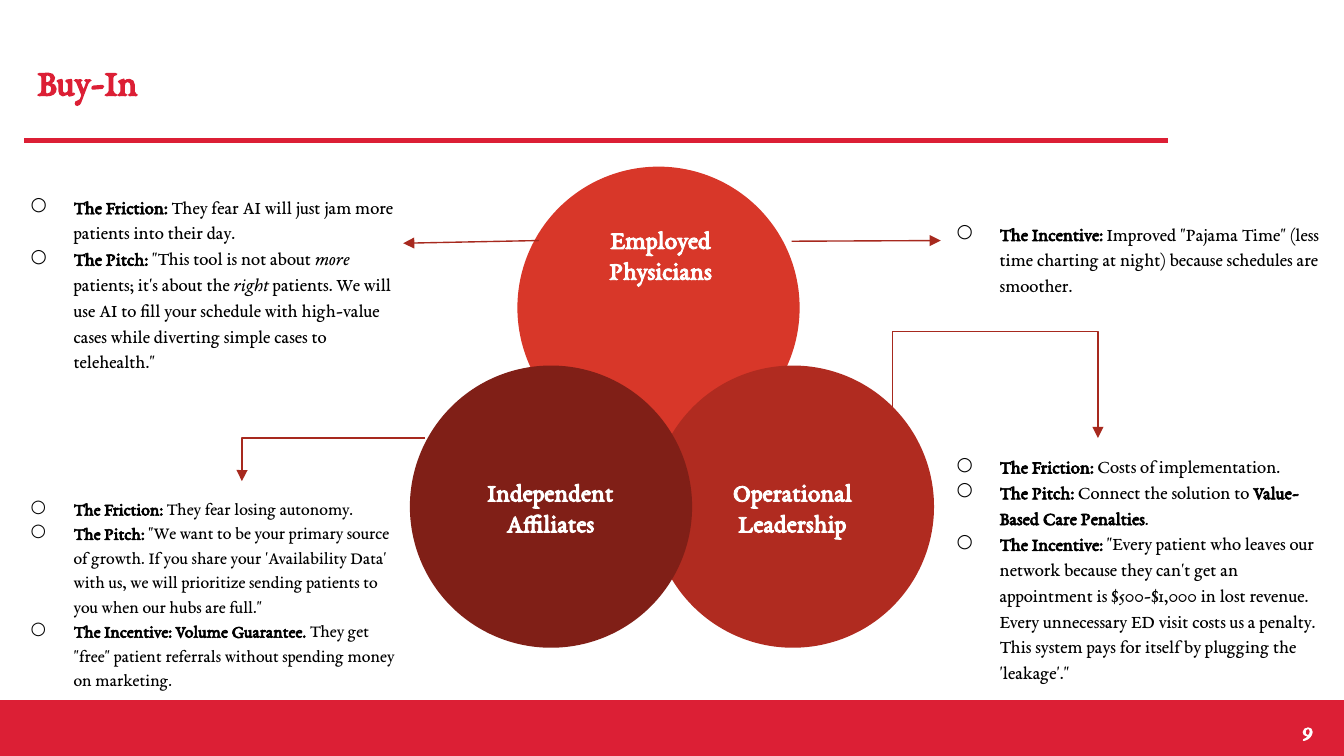
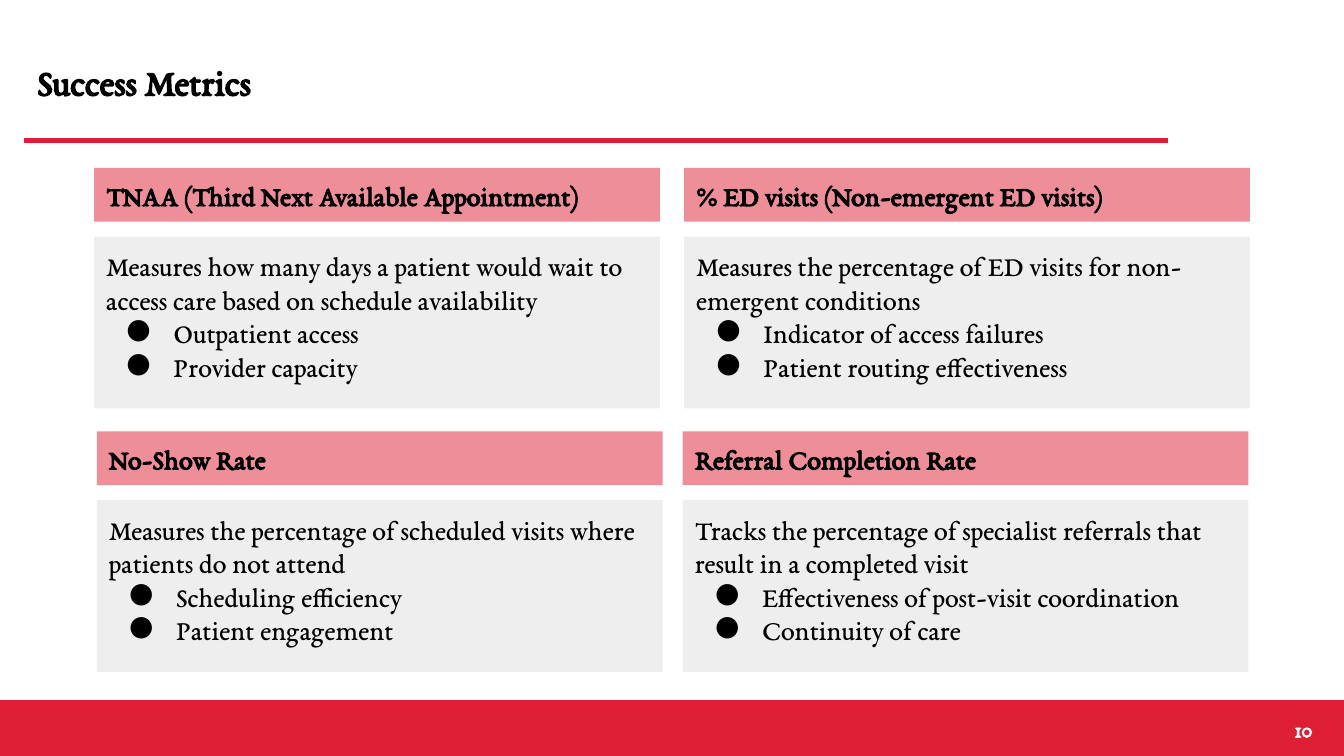
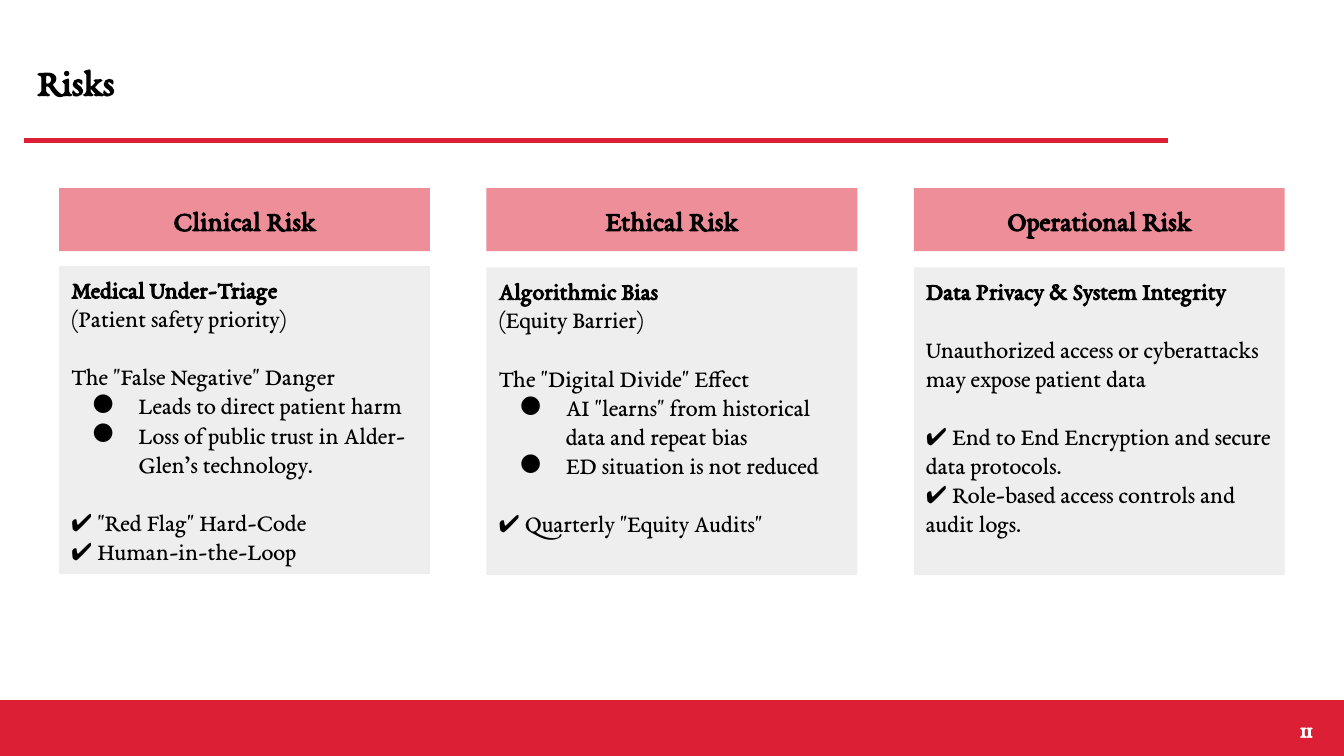
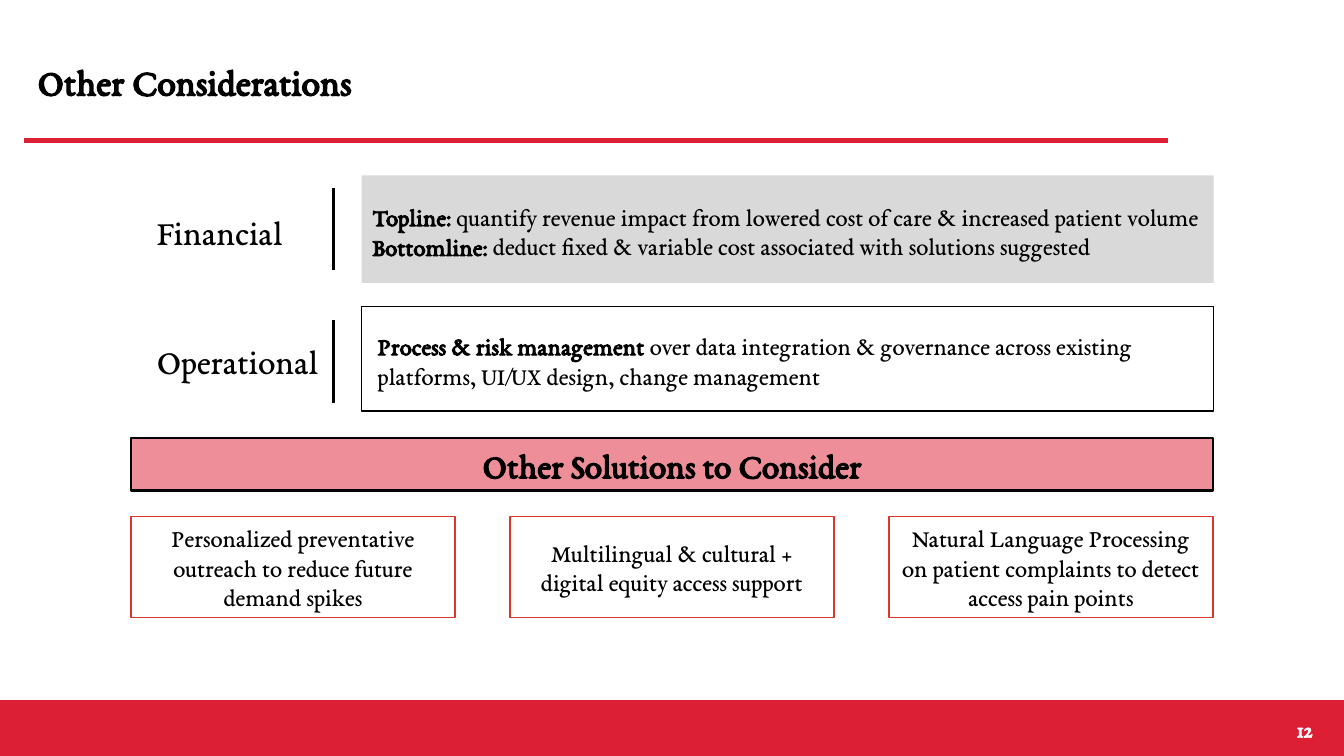
from dataclasses import dataclass

from lxml.etree import SubElement as Sub
from pptx import Presentation
from pptx.dml.color import RGBColor as RGB
from pptx.enum.shapes import MSO_CONNECTOR as CXN, MSO_SHAPE as SHAPE
from pptx.enum.text import MSO_ANCHOR as ANCHOR, PP_ALIGN as ALIGN
from pptx.oxml.ns import qn
from pptx.util import Inches, Pt


@dataclass(frozen=True)
class Theme:
    font: str = "EB Garamond"
    red: str = "DC1F35"
    bright: str = "D83729"
    brick: str = "B02B20"
    maroon: str = "801F17"
    arrow: str = "A7291E"
    black: str = "000000"
    white: str = "FFFFFF"
    panel: str = "EEEEEE"
    grey: str = "D9D9D9"
    title: float = 20.1
    label: float = 18.7
    head: float = 15
    circle: float = 13.8
    body: float = 13.3
    risk: float = 13
    number: float = 12
    note: float = 10
    small: float = 9.5


T = Theme()
prs = Presentation()
prs.slide_width = Inches(10)
prs.slide_height = prs.slide_width * 9 // 16
G = prs.slide_width // 100  # square grid: 100 columns across, 56.25 rows down


def box(shapes, at, text=(), size=T.body, color=T.black, kind=None, fill=None, alpha=None,
        line=None, weight=0.75, align=ALIGN.LEFT, anchor=ANCHOR.MIDDLE, inset=(0.9, 0.9),
        bullet=(5, 3.5), spacing=None, level=0):
    """Text marks: *bold*, _italic_, leading ● or ○ for a bullet, leading ^ for a gap of one line."""
    at = [int(v * G) for v in at]
    if kind is None:
        sp = shapes.add_textbox(*at)
    else:
        sp = shapes.add_shape(kind, *at)
        sp.shadow.inherit = False
        if fill:
            sp.fill.solid()
            sp.fill.fore_color.rgb = RGB.from_string(fill)
        else:
            sp.fill.background()
        if alpha:
            clr = sp._element.spPr.find(qn("a:solidFill"))[0]
            Sub(clr, qn("a:alpha")).set("val", str(alpha * 1000))
        if line:
            sp.line.color.rgb = RGB.from_string(line)
            sp.line.width = Pt(weight)
        else:
            sp.line.fill.background()
    tf = sp.text_frame
    dx, dy = (int(v * G) for v in inset)
    frame = dict(word_wrap=True, vertical_anchor=anchor, margin_left=dx, margin_right=dx,
                 margin_top=dy, margin_bottom=dy)
    for name, value in frame.items():
        setattr(tf, name, value)
    for i, para in enumerate(text):
        p = tf.add_paragraph() if i else tf.paragraphs[0]
        p.alignment = align
        if para[0] in "●○":
            pPr = p._p.get_or_add_pPr()
            pPr.set("marL", str(int(bullet[0] * G)))
            pPr.set("indent", str(int(-bullet[1] * G)))
            Sub(Sub(pPr, qn("a:buClr")), qn("a:srgbClr")).set("val", T.black)
            Sub(pPr, qn("a:buFont")).set("typeface", T.font)
            Sub(pPr, qn("a:buChar")).set("char", para[0])
            p.level = level
        if para[0] == "^":
            p.space_before = Pt(size * 1.2)
        if spacing:
            p.line_spacing = spacing
        for b, strong in enumerate(para.lstrip("●○^").split("*")):
            for k, words in enumerate(strong.split("_")):
                if words:
                    r = p.add_run()
                    r.text = words
                    look = dict(name=T.font, size=Pt(size), bold=b % 2 == 1, italic=k % 2 == 1)
                    for name, value in look.items():
                        setattr(r.font, name, value)
                    r.font.color.rgb = RGB.from_string(color)
    return sp


def link(s, ends, color, weight, arrow=False, bend=None, turn=0):
    cx = s.shapes.add_connector(CXN.STRAIGHT if bend is None else CXN.ELBOW,
                                *[int(v * G) for v in ends])
    cx.line.color.rgb = RGB.from_string(color)
    cx.line.width = Pt(weight)
    spPr = cx._element.spPr
    if arrow:
        Sub(cx.line._get_or_add_ln(), qn("a:tailEnd")).set("type", "triangle")
    if bend is not None:
        gd = Sub(spPr.find(qn("a:prstGeom")).find(qn("a:avLst")), qn("a:gd"))
        gd.set("name", "adj1")
        gd.set("fmla", f"val {bend}")
    if turn:
        spPr.find(qn("a:xfrm")).set("rot", str(turn * 60000))
    Sub(spPr, qn("a:effectLst"))


# Shared frame: title, rule, footer band, page number
slides = []
titles = [("Buy-In", T.red), ("Success Metrics", T.black), ("Risks", T.black),
          ("Other Considerations", T.black)]
for page, (title, color) in enumerate(titles, start=9):
    s = prs.slides.add_slide(prs.slide_layouts[6])
    box(s.shapes, (1.8, 1.6, 82.3, 8.8), [f"*{title}*"], T.title, color, inset=(1, 1))
    link(s, (1.8, 10.45, 86.9, 10.45), T.red, 2.25)
    box(s.shapes, (0, 52.12, 100, 4.13), kind=SHAPE.RECTANGLE, fill=T.red, line=T.red)
    box(s.shapes, (92.65, 52.2, 6, 4), [f"*{page}*"], T.number, T.white, align=ALIGN.RIGHT,
        inset=(1, 1))
    slides.append(s)
buy_in, metrics, risks, other = slides

# Buy-In: three overlapping circles, each grouped with its label
circles = [("Employed Physicians", 38.5, 12.4, T.bright, 3.4, 3.1),
           ("Operational Leadership", 48.5, 27.2, T.brick, 3.2, 7.1),
           ("Independent Affiliates", 30.5, 27.2, T.maroon, 3.2, 7.1)]
for name, x, y, fill, dx, dy in circles:
    group = buy_in.shapes.add_group_shape().shapes
    box(group, (x, y, 21, 21), kind=SHAPE.OVAL, fill=fill)
    box(group, (x + dx, y + dy, 14.5, 6.8), [f"*{name}*"], T.circle, T.white, align=ALIGN.CENTER)

# Buy-In: notes around the circles
notes = [
    (-5.5, 13.3, 13.9, T.note, [
        "○*The Friction:* They fear AI will just jam more patients into their day.",
        "○*The Pitch:* \"This tool is not about _more_ patients; it's about the _right_ patients. "
        "We will use AI to fill your schedule with high-value cases while diverting simple cases "
        "to telehealth.\""]),
    (63.4, 15.3, 7.6, T.note, [
        "○*The Incentive:* Improved \"Pajama Time\" (less time charting at night) because "
        "schedules are smoother."]),
    (-5.5, 35.8, 13.9, T.small, [
        "○*The Friction:* They fear losing autonomy.",
        "○*The Pitch:* \"We want to be your primary source of growth. If you share your "
        "'Availability Data' with us, we will prioritize sending patients to you when our hubs "
        "are full.\"",
        "○*The Incentive: Volume Guarantee.* They get \"free\" patient referrals without "
        "spending money on marketing."]),
    (63.4, 32.6, 13.9, T.note, [
        "○*The Friction:* Costs of implementation.",
        "○*The Pitch:* Connect the solution to *Value-Based Care Penalties*.",
        "○*The Incentive:* \"Every patient who leaves our network because they can't get an "
        "appointment is $500-$1,000 in lost revenue. Every unnecessary ED visit costs us a "
        "penalty. This system pays for itself by plugging the 'leakage'.\""]),
]
for x, y, h, size, text in notes:
    box(buy_in.shapes, (x, y, 36.6, h), text, size, anchor=ANCHOR.TOP, inset=(1, 1),
        bullet=(10, 3.2), spacing=1.15, level=1)

# Buy-In: arrows from circles to notes
for ends, bend, turn in [((40.1, 17.9, 30, 18.1), None, 0),
                         ((58.9, 17.95, 70, 17.9), None, 0),
                         ((31.6, 32.6, 18, 35.8), 99900, 0),
                         ((75.2, 23.8, 72.9, 39.1), -243900, 270)]:
    link(buy_in, ends, T.arrow, 0.75, arrow=True, bend=bend, turn=turn)

# Success Metrics: four cards, a header over a panel
cards = [
    (7, 12.5, "TNAA (Third Next Available Appointment)", [
        "Measures how many days a patient would wait to access care based on schedule availability",
        "●Outpatient access", "●Provider capacity"]),
    (50.9, 12.5, "% ED visits (Non-emergent ED visits)", [
        "Measures the percentage of ED visits for non-emergent conditions",
        "●Indicator of access failures", "●Patient routing effectiveness"]),
    (7.2, 32.1, "No-Show Rate", [
        "Measures the percentage of scheduled visits where patients do not attend",
        "●Scheduling efficiency", "●Patient engagement"]),
    (50.8, 32.1, "Referral Completion Rate", [
        "Tracks the percentage of specialist referrals that result in a completed visit",
        "●Effectiveness of post-visit coordination", "●Continuity of care"]),
]
for x, y, name, text in cards:
    box(metrics.shapes, (x, y, 42.1, 4), [f"*{name}*"], T.head, kind=SHAPE.RECTANGLE,
        fill=T.red, alpha=50)
    box(metrics.shapes, (x, y + 5.1, 42.1, 12.8), text, T.head, kind=SHAPE.RECTANGLE,
        fill=T.panel, anchor=ANCHOR.TOP)

# Risks: three equal columns
columns = [
    ("Clinical Risk", 19.8, [
        "*Medical Under-Triage*", "(Patient safety priority)", "^The \"False Negative\" Danger",
        "●Leads to direct patient harm", "●Loss of public trust in Alder-Glen’s technology.",
        "^✔ \"Red Flag\" Hard-Code", "✔ Human-in-the-Loop"]),
    ("Ethical Risk", 19.9, [
        "*Algorithmic Bias*", "(Equity Barrier)", "^The \"Digital Divide\" Effect",
        "●AI \"learns\" from historical data and repeat bias", "●ED situation is not reduced",
        "^✔ Quarterly \"Equity Audits\""]),
    ("Operational Risk", 19.9, [
        "*Data Privacy & System Integrity*",
        "^Unauthorized access or cyberattacks may expose patient data",
        "^✔ End to End Encryption and secure data protocols.",
        "✔ Role-based access controls and audit logs."]),
]
for i, (name, _, _) in enumerate(columns):
    box(risks.shapes, (4.4 + 31.8 * i, 14, 27.6, 4.7), [f"*{name}*"], T.head,
        kind=SHAPE.RECTANGLE, fill=T.red, alpha=50, align=ALIGN.CENTER)
for i, (_, y, text) in enumerate(columns):
    box(risks.shapes, (4.4 + 31.8 * i, y, 27.6, 22.9), text, T.risk, kind=SHAPE.RECTANGLE,
        fill=T.panel, anchor=ANCHOR.TOP, inset=(0.9, 0.6), bullet=(5, 3.4))

# Other Considerations: labelled rows with a divider
tight = (0.7, 0.4)
rows = [
    ("Financial", 15.3, (14, 20.1), (13.05, 8), T.grey, None, (27, 14.6), [
        "*Topline:* quantify revenue impact from lowered cost of care & increased patient volume",
        "*Bottomline: *deduct fixed & variable cost associated with solutions suggested"]),
    ("Operational", 24.9, (23.8, 30), (22.8, 7.8), T.white, T.black, (27.4, 24.2), [
        "*Process & risk management* over data integration & governance across existing "
        "platforms, UI/UX design, change management"]),
]
for name, y, (top, bottom), (panel_y, panel_h), fill, line, (tx, ty), text in rows:
    box(other.shapes, (26.9, panel_y, 63.4, panel_h), kind=SHAPE.RECTANGLE, fill=fill, line=line)
    box(other.shapes, (10.95, y, 13.7, 3.9), [name], T.label, inset=tight)
    link(other, (24.8, top, 24.8, bottom), T.black, 1.66)
    box(other.shapes, (tx, ty, 63.4, 5.2), text, inset=tight)

# Other Considerations: solutions banner and three ideas
box(other.shapes, (9.75, 32.6, 80.5, 3.9), ["*Other Solutions to Consider*"], T.label,
    kind=SHAPE.RECTANGLE, fill=T.red, alpha=50, line=T.black, weight=1.11,
    align=ALIGN.CENTER, inset=tight)
ideas = ["Personalized preventative outreach to reduce future demand spikes",
         "Multilingual & cultural + digital equity access support",
         "Natural Language Processing on patient complaints to detect access pain points"]
for i, idea in enumerate(ideas):
    box(other.shapes, (9.75 + 28.2 * i, 38.45, 24.1, 7.5), [idea], kind=SHAPE.RECTANGLE,
        line=T.bright, align=ALIGN.CENTER, inset=tight)

prs.save("out.pptx")
